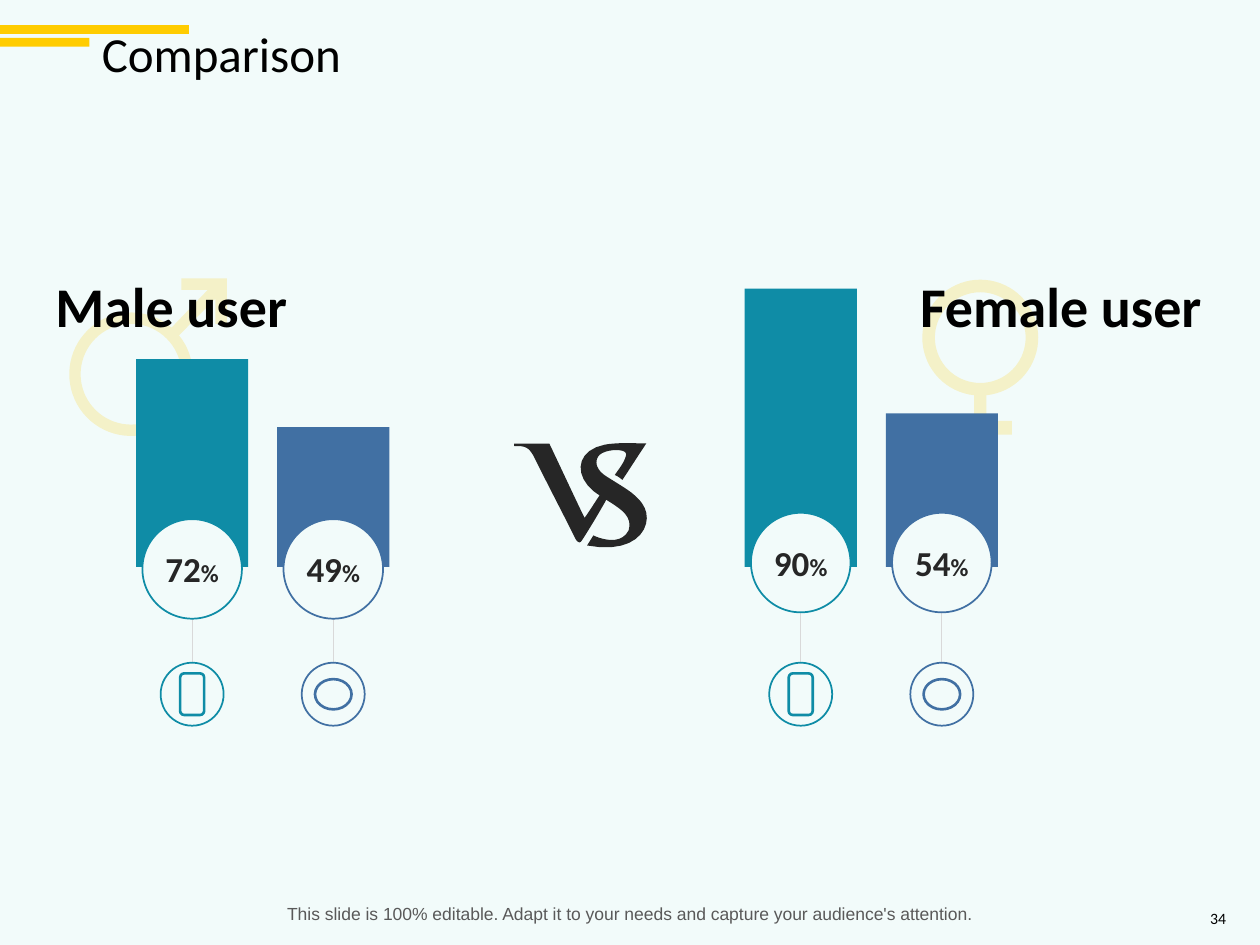
from math import cos, radians, sin

from lxml.etree import SubElement
from pptx import Presentation
from pptx.dml.color import RGBColor
from pptx.enum.shapes import MSO_CONNECTOR, MSO_SHAPE
from pptx.enum.text import MSO_ANCHOR, PP_ALIGN
from pptx.oxml.ns import qn
from pptx.util import Inches, Pt

TEAL, BLUE, GOLD, PALE, DARK = "0F8CA6", "4170A3", "FFCC00", "F2FBFA", "262626"


def color(code):
    return RGBColor.from_string(code)


def arc(x, y, r, start, end, step=5):
    """Points on a circle, with angles in degrees, clockwise from the right."""
    count = round((end - start) / step)
    angles = [radians(start + (end - start) * i / count) for i in range(count + 1)]
    return [(x + r * cos(a), y + r * sin(a)) for a in angles]


def trace(start, *steps):
    """Points along lines (x, y) and cubic curves (x1, y1, x2, y2, x, y)."""
    points = [start]
    for step in steps:
        if len(step) == 2:
            points.append(step)
            continue
        ends = [points[-1], step[:2], step[2:4], step[4:]]
        for t in (i / 10 for i in range(1, 11)):
            parts = ((1 - t) ** 3, 3 * t * (1 - t) ** 2, 3 * t * t * (1 - t), t ** 3)
            points.append(tuple(sum(k * p[axis] for k, p in zip(parts, ends))
                                for axis in (0, 1)))
    return points


class Deck:
    font = "Calibri"

    def __init__(self, width, height):
        self.file = Presentation()
        self.file.slide_width, self.file.slide_height = Inches(width), Inches(height)
        self.slide = self.file.slides.add_slide(self.file.slide_layouts[6])
        fill = self.slide.background.fill
        fill.solid()
        fill.fore_color.rgb = color(PALE)

    def paint(self, shape, fill, line=None, weight=1, alpha=None):
        shape.shadow.inherit = False
        shape.fill.solid()
        shape.fill.fore_color.rgb = color(fill)
        if alpha:
            tint = shape.fill._xPr.find(".//" + qn("a:srgbClr"))
            SubElement(tint, qn("a:alpha")).set("val", str(alpha * 1000))
        if line:
            shape.line.color.rgb = color(line)
            shape.line.width = Pt(weight)
        else:
            shape.line.fill.background()

    def shape(self, kind, x, y, w, h, fill, line=None, weight=1):
        box = Inches(x), Inches(y), Inches(w), Inches(h)
        self.paint(self.slide.shapes.add_shape(kind, *box), fill, line, weight)

    def line(self, x1, y1, x2, y2, code, weight):
        ends = [Inches(n) for n in (x1, y1, x2, y2)]
        link = self.slide.shapes.add_connector(MSO_CONNECTOR.STRAIGHT, *ends)
        link.line.color.rgb = color(code)
        link.line.width = Pt(weight)
        SubElement(link._element.spPr, qn("a:effectLst"))

    def outline(self, fill, *loops, alpha=None):
        """One filled shape; loops after the first cut holes."""
        loops = [[(Inches(x), Inches(y)) for x, y in loop] for loop in loops]
        pen = self.slide.shapes.build_freeform(*loops[0][0])
        pen.add_line_segments(loops[0][1:])
        for loop in loops[1:]:
            pen.move_to(*loop[0])
            pen.add_line_segments(loop[1:])
        self.paint(pen.convert_to_shape(), fill, alpha=alpha)

    def text(self, x, y, w, h, *runs, code="000000", font=None, bold=False,
             align=PP_ALIGN.CENTER, anchor=MSO_ANCHOR.TOP, space=None):
        """Each run is a pair of words and size."""
        box = self.slide.shapes.add_textbox(Inches(x), Inches(y), Inches(w), Inches(h))
        frame = box.text_frame
        frame.word_wrap = True
        frame.vertical_anchor = anchor
        para = frame.paragraphs[0]
        para.alignment = align
        if space:
            para.line_spacing = space
        for words, size in runs:
            run = para.add_run()
            run.text = words
            run.font.name = font or self.font
            run.font.size = Pt(size)
            run.font.bold = bold
            run.font.color.rgb = color(code)

    def column(self, x, tall, top, value, code, icon):
        """Bar, value disc and icon disc, joined on one axis."""
        base, wide, disc, small = 4.5, 0.89, 0.79, 0.5
        mid = x + wide / 2
        self.shape(MSO_SHAPE.RECTANGLE, x, base - tall, wide, tall, code)
        self.line(mid, 4.42, mid, 5.4, "D9D9D9", 0.5)
        self.shape(MSO_SHAPE.OVAL, mid - disc / 2, top, disc, disc, PALE, code)
        self.text(mid - 0.37, top + 0.18, 0.74, 0.44, (value, 20), ("%", 14),
                  code=DARK, bold=True)
        self.shape(MSO_SHAPE.OVAL, mid - small / 2, 5.26, small, small, PALE, code)
        kind, w, h = icon
        self.shape(kind, mid - w / 2, 5.51 - h / 2, w, h, PALE, code, 1.5)


def main():
    deck = Deck(10, 7.5)
    for y, wide in ((0.2, 1.5), (0.3, 0.71)):
        deck.shape(MSO_SHAPE.RECTANGLE, 0, y, wide, 0.07, GOLD)
    deck.text(0.71, 0.15, 9.16, 0.6, ("Comparison", 28), align=PP_ALIGN.LEFT,
              anchor=MSO_ANCHOR.MIDDLE, space=0.9)
    deck.text(9.46, 7.2, 0.37, 0.18, ("34", 9), align=PP_ALIGN.RIGHT,
              anchor=MSO_ANCHOR.MIDDLE)

    deck.outline(DARK, trace(
        (4.08, 3.53), (4.08, 3.52, 4.08, 3.52, 4.09, 3.52), (4.36, 3.52),
        (4.39, 3.58, 4.58, 3.99, 4.64, 4.11), (4.65, 4.1, 4.74, 3.96, 4.76, 3.93),
        (4.79, 3.91, 4.83, 3.94, 4.81, 3.97), (4.79, 4.01, 4.63, 4.28, 4.61, 4.3),
        (4.6, 4.31, 4.58, 4.3, 4.57, 4.28), (4.45, 4.04, 4.35, 3.85, 4.23, 3.61),
        (4.19, 3.54, 4.15, 3.54, 4.09, 3.54), (4.08, 3.54, 4.08, 3.54, 4.08, 3.53)))
    deck.outline(DARK, trace(
        (4.77, 3.94), (4.55, 3.81, 4.55, 3.58, 4.8, 3.53),
        (4.91, 3.51, 5.05, 3.52, 5.13, 3.52), (5.07, 3.61, 5, 3.72, 4.94, 3.81),
        (4.92, 3.79, 4.9, 3.78, 4.88, 3.77), (4.93, 3.7, 4.96, 3.66, 4.97, 3.61),
        (4.98, 3.56, 4.82, 3.56, 4.76, 3.61), (4.72, 3.65, 4.72, 3.72, 4.81, 3.78),
        (4.95, 3.87, 5.1, 3.94, 5.13, 4.07), (5.16, 4.21, 5.03, 4.4, 4.66, 4.33),
        (4.71, 4.25), (4.77, 4.28, 4.93, 4.33, 4.99, 4.21),
        (5.03, 4.08, 4.89, 4.02, 4.77, 3.94)))

    arrow = [(1.65, 2.3), (1.44, 2.3), (1.44, 2.21), (1.8, 2.21), (1.8, 2.57),
             (1.71, 2.57), (1.71, 2.37)]
    cross = [(7.83, 3.34), (8.03, 3.34), (8.03, 3.45), (7.83, 3.45), (7.83, 3.65),
             (7.73, 3.65), (7.73, 3.45), (7.52, 3.45), (7.52, 3.34), (7.73, 3.34)]
    post = MSO_SHAPE.ROUNDED_RECTANGLE, 0.19, 0.33
    bird = MSO_SHAPE.OVAL, 0.29, 0.24

    deck.outline(GOLD, arc(1.04, 2.97, 0.49, -39, 311) + arrow,
                 arc(1.04, 2.97, 0.4, 0, 360), alpha=20)
    deck.text(0.29, 2.11, 2.14, 0.64, ("Male user", 32), bold=True)
    deck.column(1.08, 1.65, 4.12, "72", TEAL, post)
    deck.column(2.2, 1.11, 4.12, "49", BLUE, bird)

    deck.outline(GOLD, arc(7.78, 2.68, 0.46, 96, 444) + cross,
                 arc(7.78, 2.68, 0.36, 0, 360), alpha=20)
    deck.text(7.12, 2.11, 2.6, 0.64, ("Female user", 32), bold=True)
    deck.column(5.91, 2.21, 4.07, "90", TEAL, post)
    deck.column(7.03, 1.22, 4.07, "54", BLUE, bird)

    deck.text(0.45, 7.12, 9.09, 0.27,
              ("This slide is 100% editable. Adapt it to your needs and "
               "capture your audience's attention.", 10),
              code="595959", font="Arial")
    deck.file.save("out.pptx")


if __name__ == "__main__":
    main()
